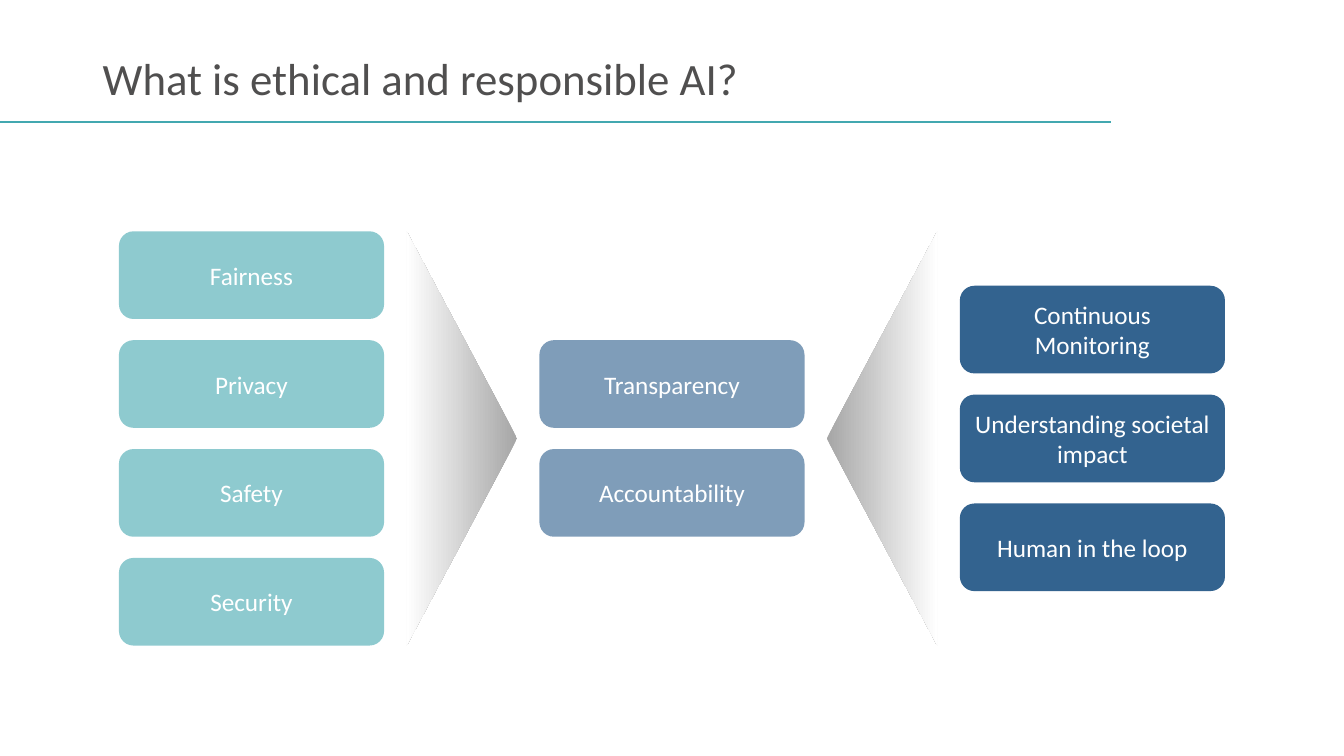
import pptx
import pptx.dml.color
import pptx.enum.shapes
import pptx.enum.text
import pptx.oxml.ns
import pptx.util
from lxml import etree

Inches = pptx.util.Inches
Pt = pptx.util.Pt
RGBColor = pptx.dml.color.RGBColor
qn = pptx.oxml.ns.qn
SHAPE = pptx.enum.shapes.MSO_SHAPE

TEAL = RGBColor(0x43, 0xA8, 0xB0)
NAVY = RGBColor(0x00, 0x3D, 0x74)
GREY = RGBColor(0xA6, 0xA6, 0xA6)
DARK_GREY = RGBColor(0x50, 0x4F, 0x4F)
WHITE = RGBColor(0xFF, 0xFF, 0xFF)

TITLE_FONT = {"name": "Calibri", "size": Pt(32)}
CARD_FONT = {"name": "Calibri", "size": Pt(18)}


def write_text(shape, text, font_values, color, align):
    frame = shape.text_frame
    frame.word_wrap = True
    frame.vertical_anchor = pptx.enum.text.MSO_ANCHOR.MIDDLE
    paragraph = frame.paragraphs[0]
    paragraph.text = text
    paragraph.alignment = align
    for attribute, value in font_values.items():
        setattr(paragraph.font, attribute, value)
    paragraph.font.color.rgb = color
    return paragraph


presentation = pptx.Presentation()
presentation.slide_width = Inches(13.33)
presentation.slide_height = Inches(7.5)
slide = presentation.slides.add_slide(presentation.slide_layouts[6])

title_rule = slide.shapes.add_connector(
    pptx.enum.shapes.MSO_CONNECTOR.STRAIGHT,
    Inches(0), Inches(1.21), Inches(11.02), Inches(1.21))
title_rule.line.color.rgb = TEAL
title_rule.line.width = Pt(1.5)
etree.SubElement(title_rule._element.spPr, qn("a:effectLst"))

title = slide.shapes.add_textbox(Inches(0.92), Inches(0.4), Inches(10.52), Inches(0.8))
heading = write_text(title, "What is ethical and responsible AI?", TITLE_FONT,
                     DARK_GREY, pptx.enum.text.PP_ALIGN.LEFT)
heading.line_spacing = 0.9

CARD_WIDTH, CARD_HEIGHT, CARD_GAP = 2.63, 0.87, 0.21
MIDDLE = 4.35
columns = [
    (1.18, TEAL, 60, ["Fairness", "Privacy", "Safety", "Security"]),
    (5.35, NAVY, 50, ["Transparency", "Accountability"]),
    (9.52, NAVY, 80, ["Continuous Monitoring", "Understanding societal impact",
                      "Human in the loop"]),
]
for left, color, opacity, principles in columns:
    pitch = CARD_HEIGHT + CARD_GAP
    top = MIDDLE - (len(principles) * pitch - CARD_GAP) / 2
    for row, principle in enumerate(principles):
        card = slide.shapes.add_shape(
            SHAPE.ROUNDED_RECTANGLE, Inches(left), Inches(top + row * pitch),
            Inches(CARD_WIDTH), Inches(CARD_HEIGHT))
        card.shadow.inherit = False
        card.fill.solid()
        card.fill.fore_color.rgb = color
        fill_color = card._element.spPr.find(qn("a:solidFill")).find(qn("a:srgbClr"))
        etree.SubElement(fill_color, qn("a:alpha"), val=str(opacity * 1000))
        card.line.fill.background()
        write_text(card, principle, CARD_FONT, WHITE, pptx.enum.text.PP_ALIGN.CENTER)

for left, rotation in [(2.52, 90), (6.69, 270)]:
    funnel = slide.shapes.add_shape(
        SHAPE.ISOSCELES_TRIANGLE, Inches(left), Inches(3.8), Inches(4.12), Inches(1.1))
    funnel.rotation = rotation
    funnel.shadow.inherit = False
    funnel.fill.gradient()
    funnel.fill.gradient_angle = 270
    for stop, color in zip(funnel.fill.gradient_stops, (GREY, WHITE)):
        stop.color.rgb = color
    funnel.line.fill.background()

presentation.save("out.pptx")
